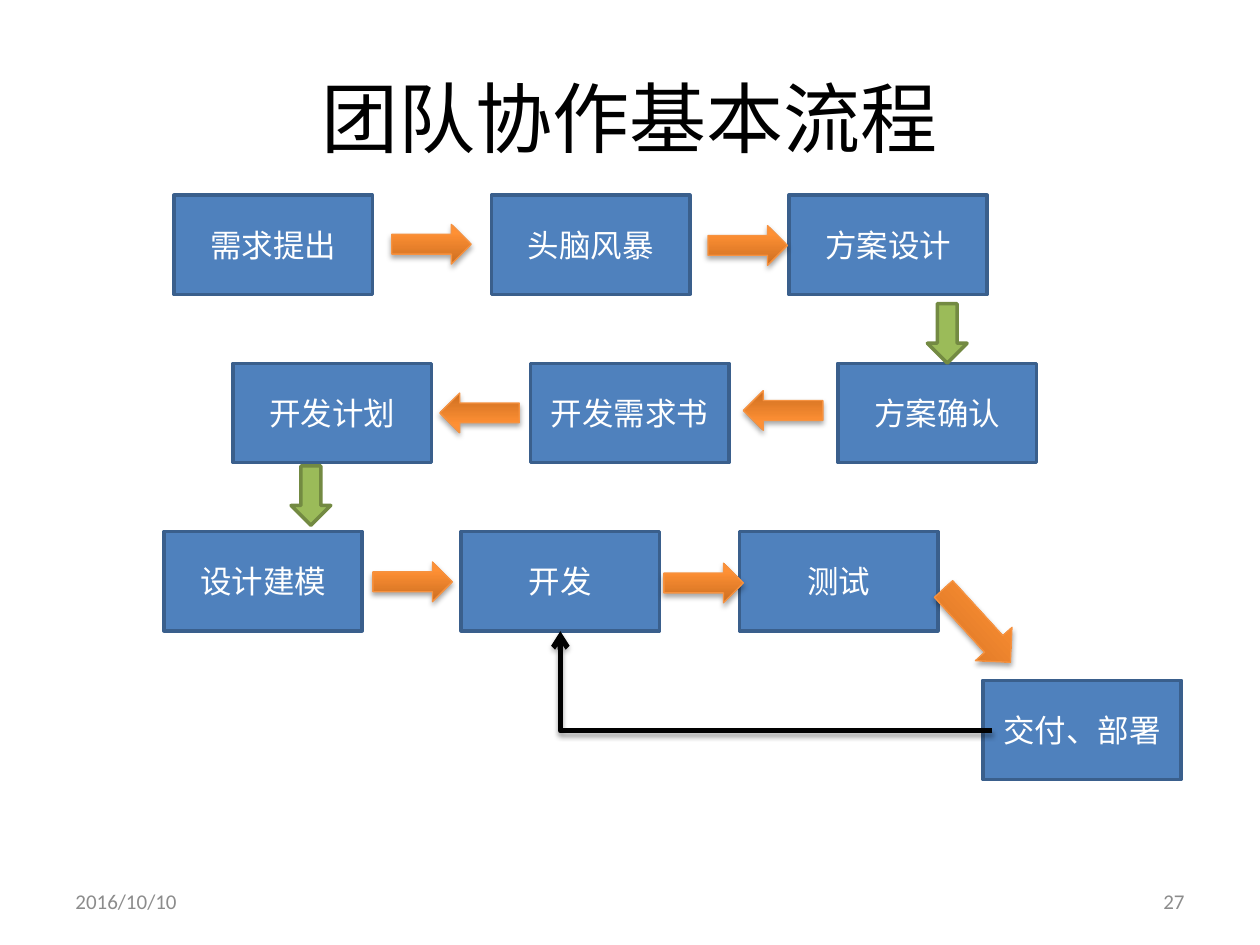
from copy import deepcopy

from lxml import etree
from pptx import Presentation
from pptx.dml.color import RGBColor
from pptx.enum import shapes, text
from pptx.oxml import ns
from pptx.util import Pt

FONT = "Calibri"
BLOCK_WIDTH, BLOCK_HEIGHT = 113.4, 56.7
STEPS = [
    (111.6, [(99.4, "需求提出"), (280.8, "头脑风暴"), (450.7, "方案设计")]),
    (207.6, [(478.8, "方案确认"), (303.1, "开发需求书"), (133.2, "开发计划")]),
    (303.8, [(93.6, "设计建模"), (263.5, "开发"), (422.6, "测试")]),
    (388.8, [(561.6, "交付、部署")]),
]
ORANGE_ARROWS = [
    (223.9, 128.2, 45.4, 22.7, 0),
    (404.6, 128.9, 45.4, 22.7, 0),
    (213.1, 321.1, 45.4, 22.7, 0),
    (379.4, 321.8, 45.4, 22.7, 0),
    (529.9, 343.4, 56.7, 28.3, 47.6),
    (424.8, 223.2, 45.4, 22.7, 180),
    (251.3, 224.6, 45.4, 22.7, 180),
]
GREEN_ARROWS = [(529.9, 173.5), (166.3, 266.2)]


def color(value):
    return RGBColor.from_string(value)


def write(shape, words, size, ink, align):
    frame = shape.text_frame
    frame.word_wrap = True
    frame.vertical_anchor = text.MSO_ANCHOR.MIDDLE
    frame.text = words
    para = frame.paragraphs[0]
    para.alignment = align
    font = para.runs[0].font
    font.name, font.size = FONT, Pt(size)
    font.color.rgb = color(ink)


def add_label(page, frame, words, size, ink, align):
    box = page.shapes.add_textbox(*map(Pt, frame))
    write(box, words, size, ink, align)


def add_preset(page, preset, frame, line, width):
    shape = page.shapes.add_shape(preset, *map(Pt, frame))
    shape.shadow.inherit = False
    shape.line.color.rgb = color(line)
    shape.line.width = Pt(width)
    return shape


def add_solid(page, preset, frame, fill, line):
    shape = add_preset(page, preset, frame, line, 2)
    shape.fill.solid()
    shape.fill.fore_color.rgb = color(fill)
    return shape


def add_shadow(effects):
    shadow = etree.SubElement(
        effects, ns.qn("a:outerShdw"), blurRad=str(Pt(3.1)),
        dist=str(Pt(1.8)), dir="5400000", rotWithShape="0")
    ink = etree.SubElement(shadow, ns.qn("a:srgbClr"), val="000000")
    etree.SubElement(ink, ns.qn("a:alpha"), val="35000")


def add_orange_arrow(page, left, top, width, height, rotation):
    arrow = add_preset(page, shapes.MSO_SHAPE.RIGHT_ARROW,
                       (left, top, width, height), "F69240", 0.75)
    arrow.rotation = rotation
    arrow.fill.gradient()
    arrow.fill.gradient_angle = 90
    properties = arrow.element.spPr
    stops = properties.find(".//" + ns.qn("a:gsLst"))
    stops.append(deepcopy(stops[-1]))
    ramp = [(0, "CC6E20"), (0.8, "FF9034"), (1, "FF9136")]
    for stop, (position, value) in zip(arrow.fill.gradient_stops, ramp):
        stop.position = position
        stop.color.rgb = color(value)
    add_shadow(properties.find(ns.qn("a:effectLst")))


def add_return_line(page, left, top, right, bottom):
    line = page.shapes.add_connector(
        shapes.MSO_CONNECTOR.ELBOW, *map(Pt, (left, top, right, bottom)))
    line.line.color.rgb = color("000000")
    line.line.width = Pt(3)
    properties = line.element.spPr
    properties.find(ns.qn("a:xfrm")).set("rot", "10800000")
    properties.find(ns.qn("a:prstGeom")).set("prst", "bentConnector2")
    etree.SubElement(properties.find(ns.qn("a:ln")), ns.qn("a:tailEnd"), type="arrow")
    add_shadow(etree.SubElement(properties, ns.qn("a:effectLst")))


def main():
    deck = Presentation()
    deck.slide_width, deck.slide_height = Pt(720), Pt(540)
    page = deck.slides.add_slide(deck.slide_layouts[6])
    align = text.PP_ALIGN

    add_label(page, (36, 21.6, 648, 90), "团队协作基本流程", 44, "000000", align.CENTER)
    for top, blocks in STEPS:
        for left, words in blocks:
            block = add_solid(page, shapes.MSO_SHAPE.RECTANGLE,
                              (left, top, BLOCK_WIDTH, BLOCK_HEIGHT), "4F81BD", "3A5F8C")
            write(block, words, 18, "FFFFFF", align.CENTER)
    for arrow in ORANGE_ARROWS:
        add_orange_arrow(page, *arrow)
    for left, top in GREEN_ARROWS:
        add_solid(page, shapes.MSO_SHAPE.DOWN_ARROW,
                  (left, top, 22.7, 34), "9BBB59", "738A42")
    add_return_line(page, 320.2, 360.7, 567, 417.6)
    add_label(page, (36, 500.5, 168, 28.8), "2016/10/10", 12, "8C8C8C", align.LEFT)
    add_label(page, (516, 500.5, 168, 28.8), "27", 12, "8C8C8C", align.RIGHT)
    deck.save("out.pptx")


main()
